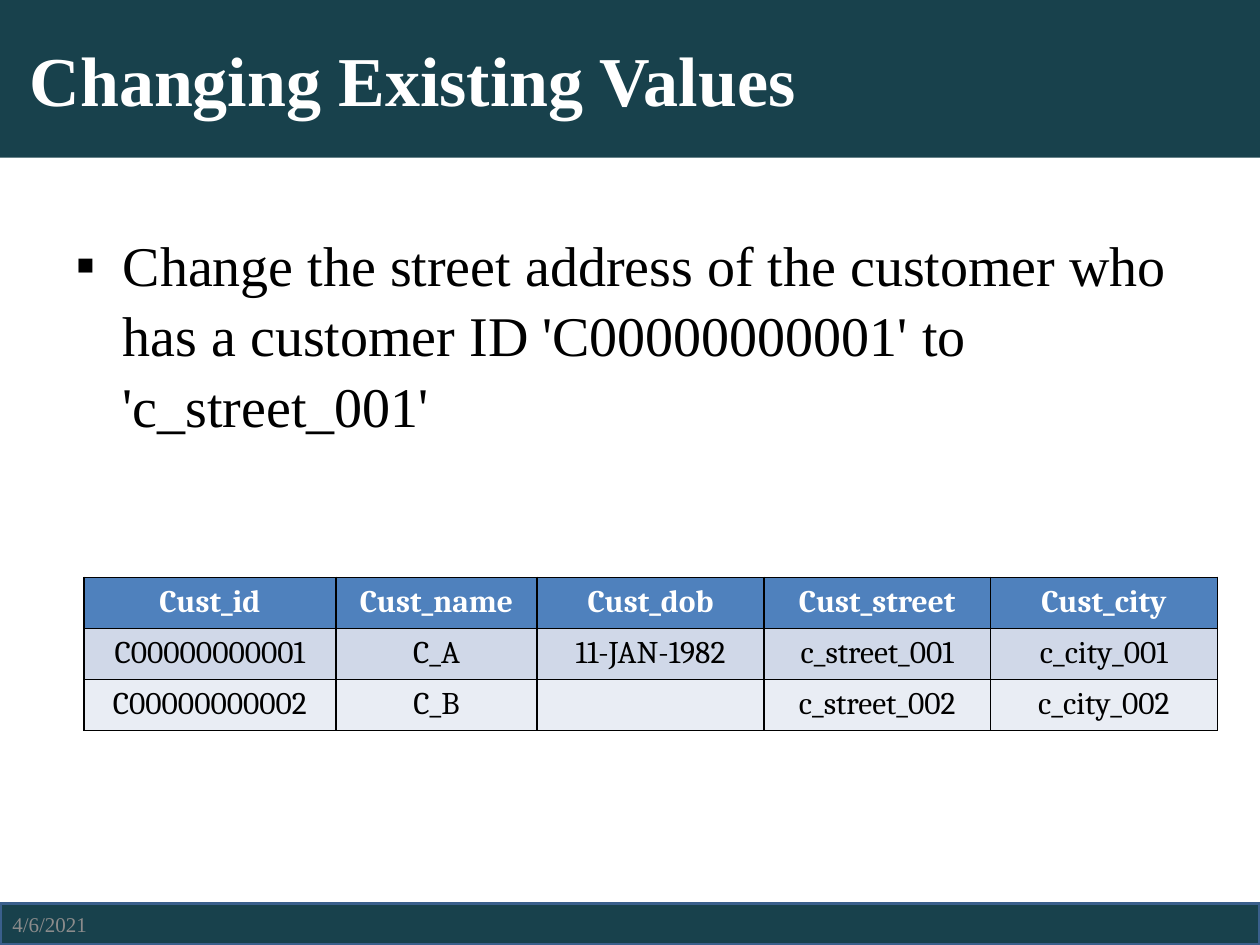
from lxml import etree
from pptx import Presentation
from pptx.dml.color import RGBColor
from pptx.enum import shapes, text
from pptx.oxml.ns import qn
from pptx.util import Cm, Pt

HUES = {"bar": "18414C", "edge": "3A5F8C", "white": "FFFFFF",
        "black": "000000", "grey": "8C8C8C", "head": "4F81BD",
        "odd": "D0D8E8", "even": "E9EDF4"}
SERIF = "Times New Roman"
ROWS = [
    ["Cust_id", "Cust_name", "Cust_dob", "Cust_street", "Cust_city"],
    ["C00000000001", "C_A", "11-JAN-1982", "c_street_001", "c_city_001"],
    ["C00000000002", "C_B", "", "c_street_002", "c_city_002"],
]
WIDTHS = [5.08, 4.06, 4.57, 4.57, 4.57]


def hue(name):
    """Return the named colour."""
    return RGBColor.from_string(HUES[name])


def apply(item, values):
    """Set every attribute in a dict of format values."""
    for key, value in values.items():
        setattr(item, key, value)


def place(shape, left, top, width, height):
    """Move and size a shape, in centimetres."""
    apply(shape, {"left": Cm(left), "top": Cm(top),
                  "width": Cm(width), "height": Cm(height)})


def paint(item, name):
    """Give a shape or cell a solid fill."""
    item.fill.solid()
    item.fill.fore_color.rgb = hue(name)


def write(frame, words, size, color, font=SERIF, bold=False, align="LEFT"):
    """Write one formatted paragraph and return it."""
    para = frame.paragraphs[0]
    para.alignment = getattr(text.PP_ALIGN, align)
    run = para.add_run()
    run.text = words
    apply(run.font, {"size": Pt(size), "name": font, "bold": bold})
    run.font.color.rgb = hue(color)
    return para


def add_title(slide, words):
    """Fill the title band."""
    title = slide.shapes.title
    place(title, 0, 0, 25.4, 3.18)
    paint(title, "bar")
    apply(title.text_frame, {"vertical_anchor": text.MSO_ANCHOR.MIDDLE,
                             "margin_left": Cm(0.6)})
    write(title.text_frame, words, 40, "white", bold=True)


def add_body(slide, words):
    """Write the bulleted text."""
    body = slide.placeholders[1]
    place(body, 1.27, 4.45, 22.86, 12.57)
    para = write(body.text_frame, words, 32, "black")
    para.line_spacing = 1.05
    props = para._p.get_or_add_pPr()
    props.set("marL", str(Cm(0.95)))
    props.set("indent", str(Cm(-0.95)))
    etree.SubElement(props, qn("a:buFont")).set("typeface", "Arial")
    etree.SubElement(props, qn("a:buChar")).set("char", "▪")


def add_foot(slide, date):
    """Draw the bottom band with its date."""
    band = slide.shapes.add_shape(shapes.MSO_SHAPE.RECTANGLE, 0, 0, 0, 0)
    place(band, 0, 18.21, 25.4, 0.84)
    paint(band, "bar")
    band.shadow.inherit = False
    band.line.color.rgb = hue("edge")
    band.line.width = Pt(2)
    box = slide.shapes.add_textbox(0, 0, 0, 0)
    place(box, 0, 18.21, 5.92, 0.84)
    apply(box.text_frame, {"word_wrap": True,
                           "vertical_anchor": text.MSO_ANCHOR.MIDDLE})
    write(box.text_frame, date, 12, "grey")


def edge(cell):
    """Draw black lines round a cell."""
    props = cell._tc.get_or_add_tcPr()
    for spot, side in enumerate(("lnL", "lnR", "lnT", "lnB")):
        line = etree.Element(qn("a:" + side), w=str(Pt(1)))
        fill = etree.SubElement(line, qn("a:solidFill"))
        etree.SubElement(fill, qn("a:srgbClr")).set("val", HUES["black"])
        props.insert(spot, line)


def add_grid(slide, rows, widths):
    """Build the customer table."""
    grid = slide.shapes.add_table(
        len(rows), len(widths), Cm(1.69), Cm(11.64),
        Cm(sum(widths)), Cm(3.09)).table
    for col, width in zip(grid.columns, widths):
        col.width = Cm(width)
    for r, row in enumerate(rows):
        for c, words in enumerate(row):
            cell = grid.cell(r, c)
            paint(cell, ("head", "odd", "even")[r])
            edge(cell)
            write(cell.text_frame, words, 18, "black" if r else "white",
                  "Cambria", r == 0, "CENTER")


def main():
    """Build and save the slide."""
    deck = Presentation()
    apply(deck, {"slide_width": Cm(25.4), "slide_height": Cm(19.05)})
    slide = deck.slides.add_slide(deck.slide_layouts[1])
    add_foot(slide, "4/6/2021")
    add_title(slide, "Changing Existing Values")
    add_body(slide, "Change the street address of the customer who has a "
                    "customer ID 'C00000000001' to 'c_street_001'")
    add_grid(slide, ROWS, WIDTHS)
    deck.save("out.pptx")


main()
